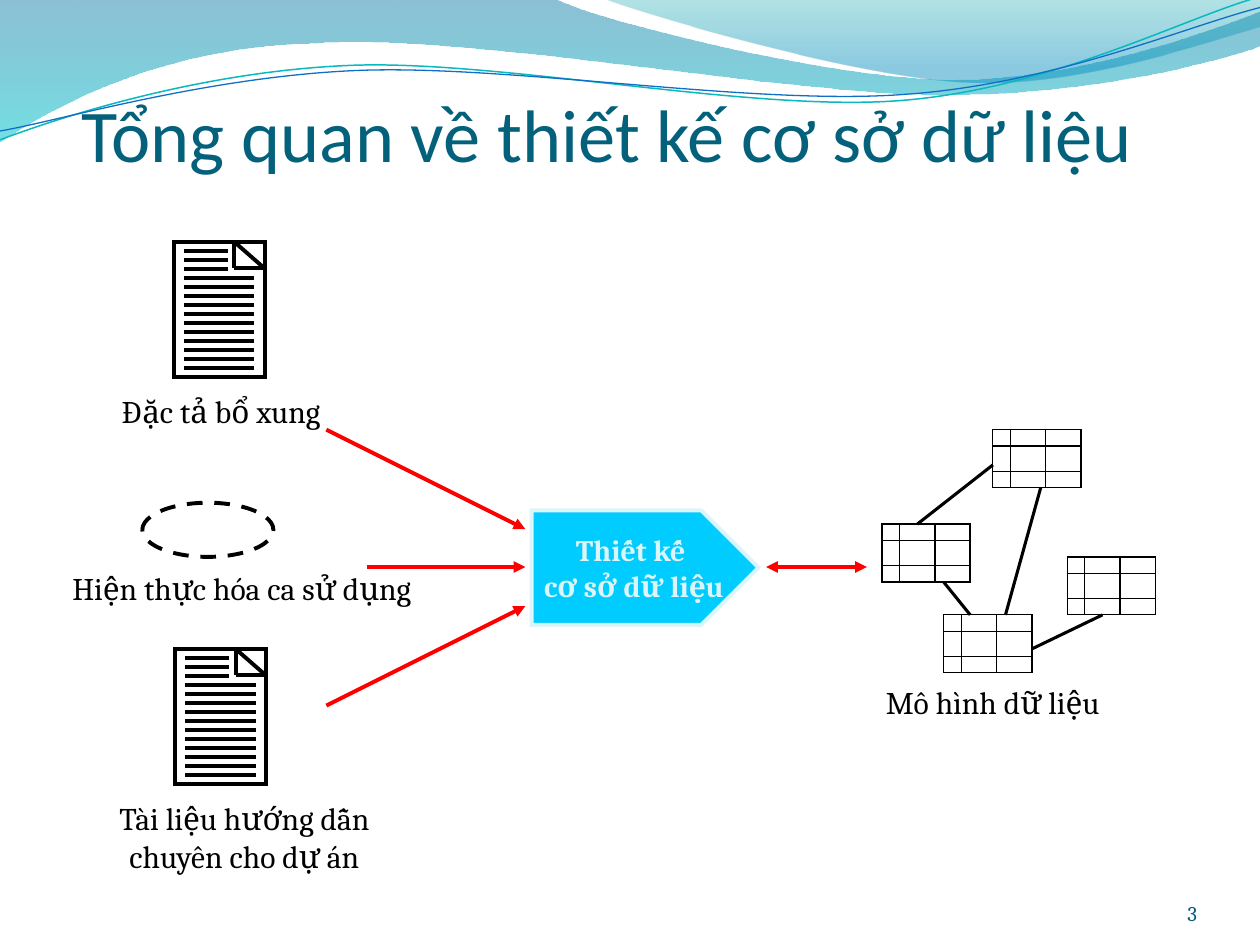
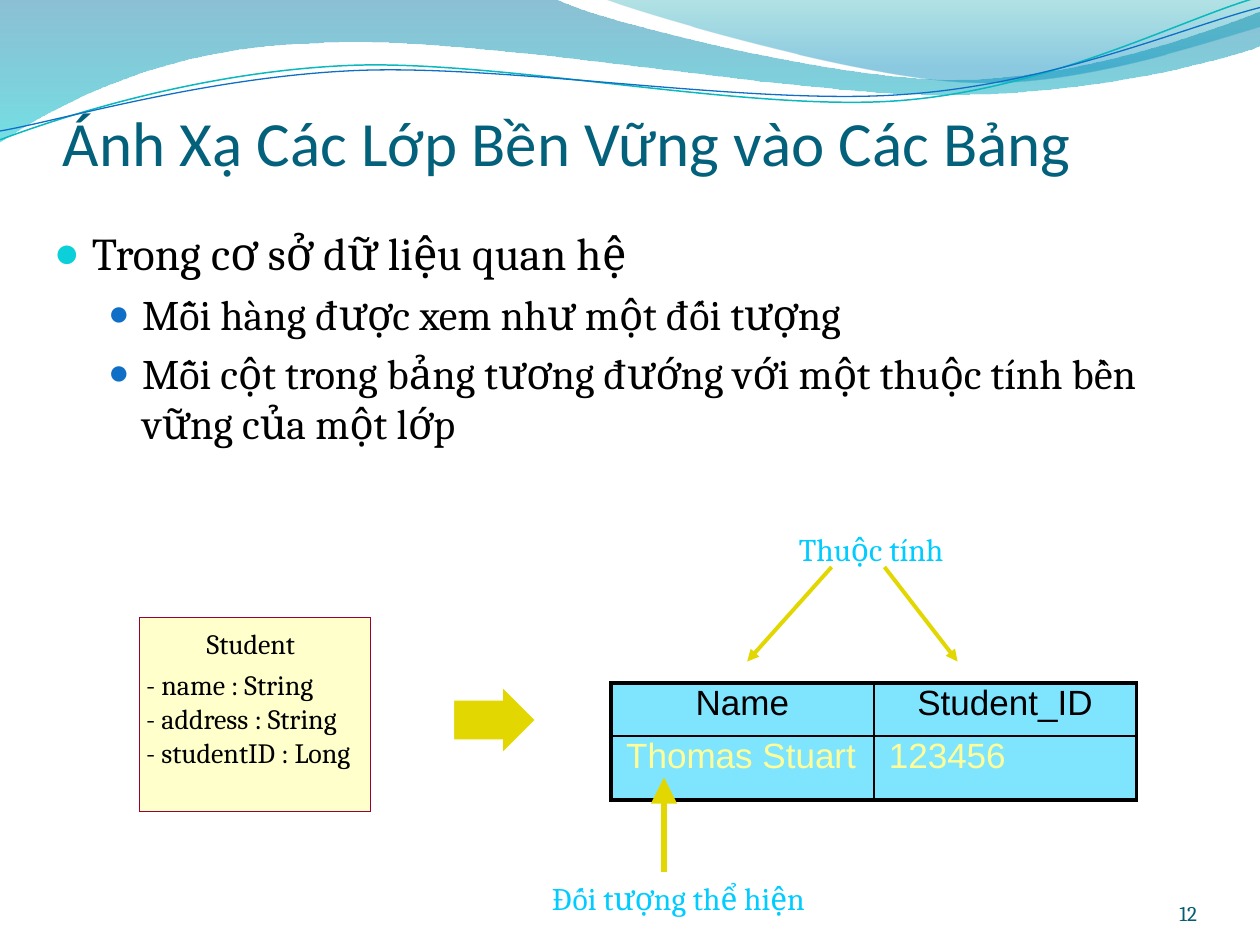
from lxml import etree
from pptx import Presentation
from pptx import util as u
from pptx.dml.color import RGBColor
from pptx.enum import dml, shapes, text
from pptx.oxml.ns import qn

BLACK = RGBColor(0, 0, 0)
WHITE = RGBColor(255, 255, 255)
RED = RGBColor(255, 0, 0)
TITLE = RGBColor(0x04, 0x61, 0x7B)
NUMBER = RGBColor(0x04, 0x5D, 0x75)
AQUA = RGBColor(0x00, 0xCC, 0xFF)
PALE = RGBColor(0xDB, 0xF5, 0xF9)
GOLD = RGBColor(0xE2, 0xD7, 0x00)
CREAM = RGBColor(0xFF, 0xFF, 0xCC)
LEMON = RGBColor(0xFF, 0xFF, 0x99)
WINE = RGBColor(0x99, 0x00, 0x33)
TEAL = RGBColor(0x0A, 0xB8, 0xBF)
BLUE = RGBColor(0x0F, 0x6F, 0xC6)
CYAN = RGBColor(0x0B, 0xD0, 0xD9)

SERIF, SANS, HEAD = "Cambria", "Arial", "Calibri"
FORM = shapes.MSO_SHAPE
LEFT, MID, RIGHT = text.PP_ALIGN.LEFT, text.PP_ALIGN.CENTER, text.PP_ALIGN.RIGHT
WIDE = (0.12, 0.06, 0.12, 0.06)
NONE = (0, 0, 0, 0)

# Outlines in inches: a pair is a straight step, six numbers are a Bézier step.
# Gradient stops: position, colour, opacity in percent.
BANDS = [
    ([(0, 0), (4.4, -0.01), (4.76, 0.17, 6.64, 0.63, 7.58, 0.63),
      (8.53, 0.63, 9.58, 0.26, 10, 0.09), (10.01, 0.36),
      (9.83, 0.44, 8.7, 0.76, 7.46, 0.75), (6.22, 0.75, 3.82, 0.28, 2.57, 0.34),
      (1.29, 0.36, 0.46, 0.83, -0.01, 1.13), (0, 0)],
     [(0, RGBColor(0x00, 0x74, 0xA1), 45), (1, RGBColor(0x00, 0xC6, 0xCF), 55)]),
    ([(4.79, -0.01), (5.09, 0.11, 6.82, 0.62, 7.69, 0.65),
      (8.56, 0.69, 9.61, 0.32, 10, 0.21), (10, 0), (4.79, -0.01)],
     [(0, RGBColor(0x00, 0xA1, 0xA9), 30), (0.8, RGBColor(0x00, 0x8B, 0xBF), 45)]),
]
WAVES = [
    ([(0, 1.11), (0.48, 0.93, 1.58, 0.57, 2.77, 0.52),
      (3.95, 0.47, 5.93, 0.89, 7.13, 0.8), (8.33, 0.71, 9.38, 0.15, 9.98, -0.02)],
     TEAL, 0.85),
    ([(0, 1.04), (0.47, 0.96, 1.64, 0.61, 2.83, 0.56),
      (4.03, 0.51, 5.97, 0.84, 7.17, 0.75), (8.36, 0.67, 9.41, 0.21, 10, 0.06)],
     BLUE, 0.75),
]

SOURCES = [
    (["Đặc tả bổ xung"], (0.84, 3.06, 1.83, 0.35)),
    (["Hiện thực hóa ca sử dụng"], (0.42, 4.47, 3, 0.35)),
    (["Tài liệu hướng dẫn", "chuyên cho dự án"], (0.82, 6.29, 2.24, 0.61)),
]
PAGES = [(1.38, 1.92), (1.39, 5.15)]
FLOWS = [((2.59, 3.41), (4.17, 4.2)), ((2.91, 4.5), (4.17, 4.5)),
         ((2.59, 5.6), (4.17, 4.81))]
GRIDS = [(8.47, 4.42), (7.49, 4.88), (7, 4.16), (7.88, 3.41)]
LINKS = [((8.26, 3.87), (7.98, 4.88)), ((8.19, 5.15), (8.75, 4.88)),
         ((7.7, 4.88), (7.49, 4.62)), ((7.28, 4.16), (7.88, 3.69))]

POINTS = [
    (0, "Trong cơ sở dữ liệu quan hệ"),
    (1, "Mỗi hàng được xem như một đối tượng"),
    (1, "Mỗi cột trong bảng tương đướng với một thuộc tính bền vững của một lớp"),
]
# Per level: text size, left margin, hanging indent, bullet colour, bullet percent
LEVELS = [(26, 0.3, 0.3, CYAN, 95), (24, 0.7, 0.27, BLUE, 85)]
FIELDS = ["- name : String", "- address : String", "- studentID : Long"]
ROWS = [["Name", "Student_ID"], ["Thomas Stuart", "123456"]]
NOTES = [("Đối tượng thể hiện", (4.26, 6.92, 2.34, 0.42)),
         ("Thuộc tính", (6.22, 4.15, 1.43, 0.42))]
# From, to, line width, arrowhead size
ARROWS = [((5.27, 6.92), (5.27, 6.17), 3, "lg"),
          ((6.6, 4.5), (5.93, 5.25), 2.25, "med"),
          ((7.02, 4.5), (7.6, 5.25), 2.25, "med")]


def size(inch):
    return u.Cm(inch * 2.54)


def sizes(box):
    return [size(n) for n in box]


def child(parent, tag, **attrs):
    node = etree.SubElement(parent, qn(tag))
    for key, val in attrs.items():
        node.set(key, str(val))
    return node


def fade(node, shares):
    """Give the colours under node their opacity, in percent."""
    for paint, share in zip(list(node.iter(qn("a:srgbClr"))), shares):
        child(paint, "a:alpha", val=share * 1000)


def style(par, pt, color, face=SERIF, bold=False, align=LEFT):
    par.alignment = align
    font = par.font
    font.size, font.name, font.bold = u.Pt(pt), face, bold
    font.color.rgb = color


def pad(item, inset):
    (item.margin_left, item.margin_top,
     item.margin_right, item.margin_bottom) = sizes(inset)


def write(frame, lines, pt, color, face=SERIF, bold=False, align=LEFT,
          inset=(0.1, 0.05, 0.1, 0.05), anchor=text.MSO_ANCHOR.TOP, wrap=False):
    frame.word_wrap, frame.vertical_anchor = wrap, anchor
    pad(frame, inset)
    for i, line in enumerate(lines):
        par = frame.add_paragraph() if i else frame.paragraphs[0]
        par.text = line
        style(par, pt, color, face, bold, align)


def label(slide, box, lines, pt, color, **more):
    frame = slide.shapes.add_textbox(*sizes(box)).text_frame
    write(frame, lines, pt, color, **more)


def shape(slide, form, box, fill=None, line=BLACK, width=2.25, adjust=()):
    item = slide.shapes.add_shape(form, *sizes(box))
    item.shadow.inherit = False
    if fill is None:
        item.fill.background()
    else:
        item.fill.solid()
        item.fill.fore_color.rgb = fill
    item.line.color.rgb, item.line.width = line, u.Pt(width)
    child(item.line._get_or_add_ln(), "a:miter", lim=800000)
    for i, val in enumerate(adjust):
        item.adjustments[i] = val
    return item


def join(slide, start, end, color=BLACK, width=2.25, ends=(), tip="med"):
    item = slide.shapes.add_connector(
        shapes.MSO_CONNECTOR.STRAIGHT, *sizes(start), *sizes(end))
    item.line.color.rgb, item.line.width = color, u.Pt(width)
    for tag in ends:
        child(item.line._get_or_add_ln(), tag, type="triangle", w=tip, len=tip)
    child(item._element.spPr, "a:effectLst")


def outline(slide, steps, close):
    """Build a freeform through the step ends, then bend its Bézier steps."""
    first, *rest = [sizes(step[-2:]) for step in steps]
    pen = slide.shapes.build_freeform(*first, scale=1.0)
    pen.add_line_segments(rest, close=close)
    item = pen.convert_to_shape()
    item.shadow.inherit = False
    for node, step in zip(list(item._element.iter(qn("a:lnTo"))), steps[1:]):
        if len(step) == 6:
            bend = etree.Element(qn("a:cubicBezTo"))
            for x, y in zip(step[::2], step[1::2]):
                child(bend, "a:pt", x=size(x) - item.left, y=size(y) - item.top)
            node.getparent().replace(node, bend)
    return item


def start(deck, title, box, pt, number):
    """Add a slide with bands, waves, title and number."""
    slide = deck.slides.add_slide(deck.slide_layouts[6])
    for steps, stops in BANDS:
        band = outline(slide, steps, True)
        band.line.fill.background()
        band.fill.gradient()
        band.fill.gradient_angle = 270
        for stop, (place, color, _) in zip(band.fill.gradient_stops, stops):
            stop.position, stop.color.rgb = place, color
        fade(band._element.spPr, [share for _, _, share in stops])
    for steps, color, width in WAVES:
        wave = outline(slide, steps, False)
        wave.fill.background()
        wave.line.color.rgb, wave.line.width = color, u.Pt(width)
    low = text.MSO_ANCHOR.BOTTOM
    label(slide, box, [title], pt, TITLE, face=HEAD, inset=(0, 0.05, 0, 0),
          anchor=low, wrap=True)
    label(slide, (8.67, 6.95, 0.83, 0.4), [number], 12, NUMBER, align=RIGHT,
          inset=NONE, anchor=low, wrap=True)
    return slide


def page(slide, x, y):
    """Draw a sheet with a folded corner and lines of writing."""
    shape(slide, FORM.RECTANGLE, (x, y, 0.72, 1.07))
    top, inner, edge = (x + 0.48, y), (x + 0.48, y + 0.21), (x + 0.72, y + 0.21)
    for a, b in [(top, edge), (top, inner), (edge, inner)]:
        join(slide, a, b)
    for i in range(14):
        row = y + 0.07 + i * 0.93 / 13
        join(slide, (x + 0.08, row), (x + (0.43 if i < 3 else 0.64), row))


def grid(slide, x, y, wide=0.7, high=0.46):
    shape(slide, FORM.RECTANGLE, (x, y, wide, high), width=0.75)
    for dy in (0.13, 0.33):
        join(slide, (x, y + dy), (x + wide, y + dy), width=0.75)
    for dx in (0.14, 0.42):
        join(slide, (x + dx, y), (x + dx, y + high), width=0.75)


def bullets(slide, box):
    frame = slide.shapes.add_textbox(*sizes(box)).text_frame
    write(frame, [line for _, line in POINTS], 24, BLACK, wrap=True)
    for i, (par, (level, _)) in enumerate(zip(frame.paragraphs, POINTS)):
        pt, left, hang, color, share = LEVELS[level]
        props = par._p.get_or_add_pPr()
        props.remove(props.find(qn("a:defRPr")))
        props.set("marL", str(size(left)))
        props.set("indent", str(-size(hang)))
        par.level = level
        if i:
            par.space_before = u.Pt(0.2 * pt)
        child(child(props, "a:buClr"), "a:srgbClr", val=color)
        child(props, "a:buSzPct", val=share * 1000)
        child(props, "a:buFont", typeface=SANS)
        child(props, "a:buChar", char="●")
        style(par, pt, BLACK)


def edges(cell, row, col):
    """Thick lines on the outside of the table, thin ones inside."""
    props = cell._tc.get_or_add_tcPr()
    outer = {"L": col == 0, "R": col == len(ROWS[0]) - 1,
             "T": row == 0, "B": row == len(ROWS) - 1}
    for side, thick in outer.items():
        line = child(props, "a:ln" + side, w=u.Pt(2.25 if thick else 1))
        child(child(line, "a:solidFill"), "a:srgbClr", val=BLACK)


def table(slide, box, highs):
    grid = slide.shapes.add_table(len(ROWS), len(ROWS[0]), *sizes(box)).table
    grid.first_row = grid.horz_banding = False
    for r, row in enumerate(ROWS):
        grid.rows[r].height = size(highs[r])
        for c, word in enumerate(row):
            cell = grid.cell(r, c)
            pad(cell, WIDE)
            edges(cell, r, c)
            cell.fill.solid()
            cell.fill.fore_color.rgb = AQUA
            fade(cell._tc.tcPr.find(qn("a:solidFill")), [50])
            cell.text = word
            par = cell.text_frame.paragraphs[0]
            par.line_spacing = 0.8
            style(par, 20, LEMON if r else BLACK, SANS, align=LEFT if r else MID)


def design(deck):
    slide = start(deck, "Tổng quan về thiết kế cơ sở dữ liệu",
                  (0.65, 0.16, 9, 1.25), 42.5, "3")
    for spot in PAGES:
        page(slide, *spot)
    oval = shape(slide, FORM.OVAL, (1.13, 3.99, 1.04, 0.43))
    oval.line.dash_style = dml.MSO_LINE.DASH
    for lines, box in SOURCES:
        label(slide, box, lines, 18, BLACK, align=MID)
    step = shape(slide, FORM.PENTAGON, (4.22, 4.05, 1.8, 0.91), AQUA, PALE,
                 adjust=[0.5])
    write(step.text_frame, ["Thiết kế", " cơ sở dữ liệu"], 17, PALE, bold=True,
          align=MID, anchor=text.MSO_ANCHOR.MIDDLE)
    for a, b in FLOWS:
        join(slide, a, b, RED, ends=["a:tailEnd"])
    join(slide, (6.08, 4.5), (6.88, 4.5), RED, ends=["a:headEnd", "a:tailEnd"])
    for spot in GRIDS:
        grid(slide, *spot)
    for a, b in LINKS:
        join(slide, a, b, width=1.75)
    label(slide, (6.91, 5.36, 1.99, 0.42), ["Mô hình dữ liệu"], 18, BLACK, inset=WIDE)


def mapping(deck):
    slide = start(deck, "Ánh Xạ Các Lớp Bền Vững vào Các Bảng",
                  (0.5, 0.77, 9, 0.65), 36, "12")
    bullets(slide, (0.33, 1.74, 9.28, 2.27))
    shape(slide, FORM.RECTANGLE, (1.11, 4.9, 1.83, 1.54), CREAM, WINE, 0)
    label(slide, (1.64, 4.97, 0.85, 0.32), ["Student"], 16, BLACK, inset=NONE)
    for i, field in enumerate(FIELDS):
        label(slide, (1.16, 5.3 + 0.27 * i, 1.77, 0.32), [field], 16, BLACK, inset=NONE)
    table(slide, (4.85, 5.42, 4.17, 0.93), [0.42, 0.51])
    for line, box in NOTES:
        label(slide, box, [line], 18, AQUA, inset=WIDE)
    for a, b, width, tip in ARROWS:
        join(slide, a, b, GOLD, width, ["a:tailEnd"], tip)
    shape(slide, FORM.RIGHT_ARROW, (3.6, 5.45, 0.65, 0.53), GOLD, WHITE, 0.75,
          [0.6, 0.5])


def main():
    deck = Presentation()
    deck.slide_width, deck.slide_height = size(10), size(7.5)
    design(deck)
    mapping(deck)
    deck.save("out.pptx")


if __name__ == "__main__":
    main()
